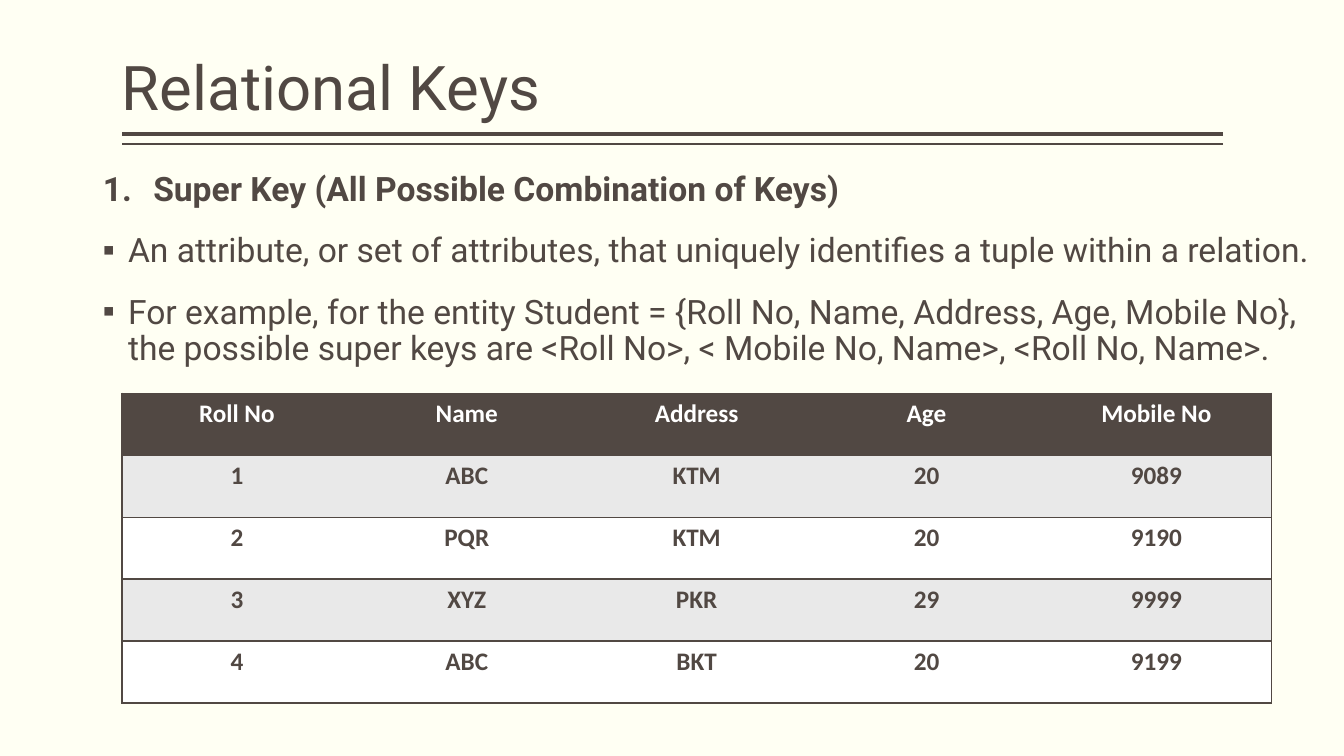
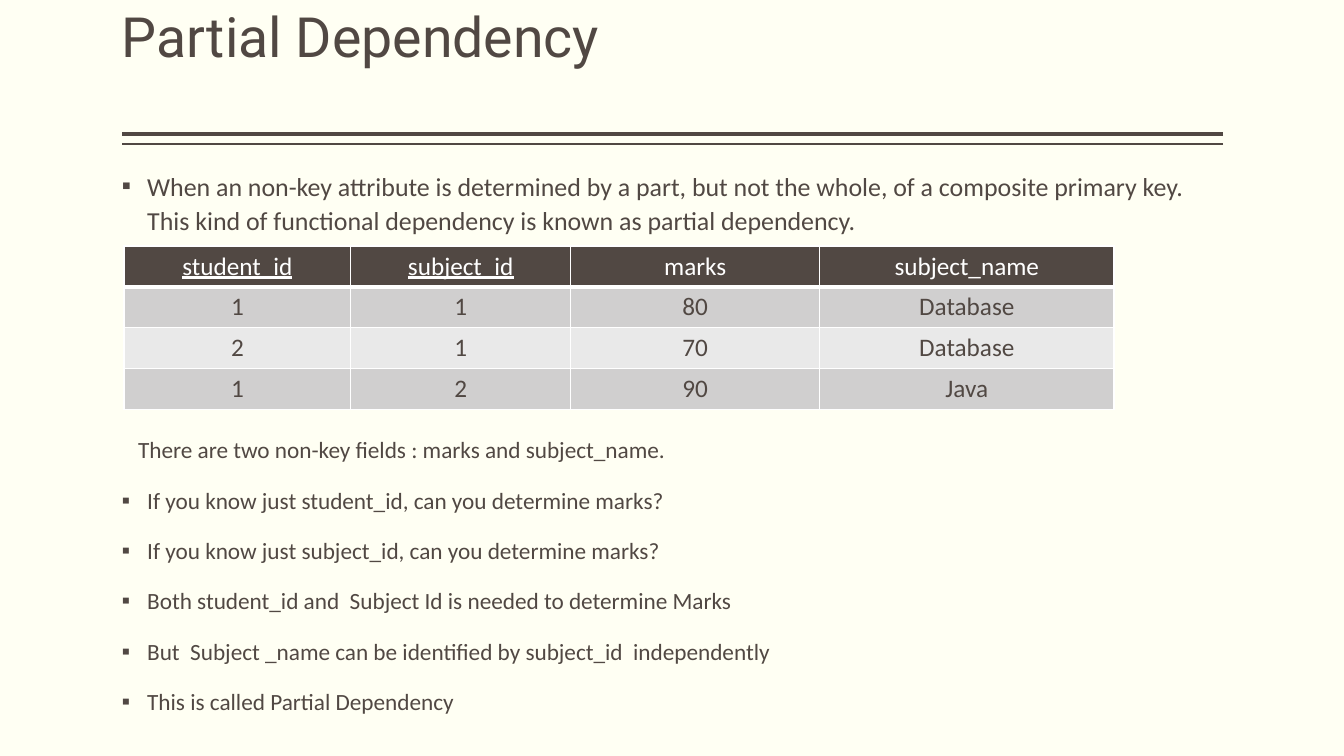
from lxml import etree
from pptx import Presentation
from pptx.dml.color import RGBColor
from pptx.enum import shapes, text
from pptx.oxml import ns
from pptx.util import Inches, Pt

BROWN = RGBColor(0x51, 0x48, 0x43)
CREAM = RGBColor(0xFF, 0xFF, 0xF3)
WHITE = RGBColor(0xFF, 0xFF, 0xFF)
LIGHT_GRAY = RGBColor(0xE9, 0xE9, 0xE9)
MID_GRAY = RGBColor(0xD0, 0xCF, 0xCF)
HEADING_FONT = "Roboto"
TEXT_FONT = "Calibri"
LEFT, CONTENT_WIDTH = 1.21, 10.92
PARAGRAPH_GAP = 18


class Lecture:
    def __init__(self):
        self.deck = Presentation()
        self.deck.slide_width = Inches(13.33)
        self.deck.slide_height = Inches(7.5)
        fill = self.deck.slide_master.background.fill
        fill.solid()
        fill.fore_color.rgb = CREAM
        self.page = None

    def start_page(self, title, top, height, size):
        self.page = self.deck.slides.add_slide(self.deck.slide_layouts[1])
        self.rule(1.33, 3)
        self.rule(1.43, 1)
        box = self.page.shapes.title
        frame = self.prepare(box, LEFT, top, CONTENT_WIDTH, height)
        frame.vertical_anchor = text.MSO_ANCHOR.BOTTOM
        frame.text = title
        paragraph = frame.paragraphs[0]
        paragraph.alignment = text.PP_ALIGN.LEFT
        paragraph.line_spacing = 0.9
        self.style(paragraph, HEADING_FONT, size, BROWN)

    def rule(self, y, weight):
        line = self.page.shapes.add_connector(
            shapes.MSO_CONNECTOR.STRAIGHT,
            Inches(LEFT + CONTENT_WIDTH), Inches(y), Inches(LEFT), Inches(y))
        line.line.color.rgb = BROWN
        line.line.width = Pt(weight)
        etree.SubElement(line.element.spPr, ns.qn("a:effectLst"))

    def prepare(self, box, left, top, width, height):
        box.left, box.top = Inches(left), Inches(top)
        box.width, box.height = Inches(width), Inches(height)
        frame = box.text_frame
        frame.word_wrap = True
        frame.auto_size = text.MSO_AUTO_SIZE.NONE
        frame.margin_left = frame.margin_right = 0
        frame.margin_top = frame.margin_bottom = Inches(0.05)
        return frame

    def style(self, paragraph, font, size, color, bold=False, underline=False):
        for span in paragraph.runs:
            span.font.name = font
            span.font.size = Pt(size)
            span.font.color.rgb = color
            span.font.bold = bold
            span.font.underline = underline

    def start_body(self, left, top, width, height):
        frame = self.prepare(self.page.placeholders[1], left, top, width, height)
        frame.vertical_anchor = text.MSO_ANCHOR.TOP

    def item(self, words, font, size, bullet="▪", indent=0.25, bold=False,
             spacing=0.9, before=PARAGRAPH_GAP):
        frame = self.page.placeholders[1].text_frame
        first = not frame.text
        paragraph = frame.paragraphs[0] if first else frame.add_paragraph()
        paragraph.text = words
        self.bullet(paragraph, bullet, indent)
        paragraph.alignment = text.PP_ALIGN.LEFT
        paragraph.line_spacing = spacing
        paragraph.space_before = Pt(0 if first else before)
        paragraph.space_after = Pt(0)
        self.style(paragraph, font, size, BROWN, bold)

    def bullet(self, paragraph, bullet, indent):
        properties = paragraph._p.get_or_add_pPr()
        properties.set("marL", str(Inches(indent)))
        properties.set("indent", str(-Inches(indent) if bullet else 0))
        if not bullet:
            etree.SubElement(properties, ns.qn("a:buNone"))
        elif bullet == "1.":
            etree.SubElement(properties, ns.qn("a:buFont"), typeface=HEADING_FONT)
            etree.SubElement(properties, ns.qn("a:buAutoNum"), type="arabicPeriod")
        else:
            etree.SubElement(properties, ns.qn("a:buFont"), typeface=TEXT_FONT)
            etree.SubElement(properties, ns.qn("a:buChar"), char=bullet)

    def table(self, rows, left, top, widths, row_height, bands, line_color,
              bold=False, inner_columns=True, header_line=1, underlined=()):
        table = self.page.shapes.add_table(
            len(rows), len(widths), Inches(left), Inches(top),
            Inches(sum(widths)), Inches(row_height * len(rows))).table
        table.horz_banding = False
        for column, width in zip(table.columns, widths):
            column.width = Inches(width)
        last = len(widths) - 1
        for r, values in enumerate(rows):
            table.rows[r].height = Inches(row_height)
            for c, value in enumerate(values):
                cell = table.cell(r, c)
                cell.text = value
                paragraph = cell.text_frame.paragraphs[0]
                paragraph.alignment = text.PP_ALIGN.CENTER
                self.style(paragraph, TEXT_FONT, 18, BROWN if r else WHITE,
                           bold, r == 0 and c in underlined)
                self.borders(cell, line_color, {
                    "L": 1 if inner_columns or c == 0 else 0,
                    "R": 1 if inner_columns or c == last else 0,
                    "T": header_line if r == 1 else 1,
                    "B": header_line if r == 0 else 1})
                cell.fill.solid()
                cell.fill.fore_color.rgb = bands[(r - 1) % len(bands)] if r else BROWN

    def borders(self, cell, color, weights):
        properties = cell._tc.get_or_add_tcPr()
        for side, weight in weights.items():
            line = etree.SubElement(properties, ns.qn(f"a:ln{side}"), w=str(Pt(weight)))
            if weight:
                fill = etree.SubElement(line, ns.qn("a:solidFill"))
                etree.SubElement(fill, ns.qn("a:srgbClr"), val=str(color))
            else:
                etree.SubElement(line, ns.qn("a:noFill"))


def relational_keys(lecture):
    lecture.start_page("Relational Keys", 0.08, 1.2, 44)
    lecture.start_body(1.02, 1.66, 12.32, 5.32)
    lecture.item("Super Key (All Possible Combination of Keys)", HEADING_FONT, 24,
                 bullet="1.", indent=0.5, bold=True)
    for words in (
        "An attribute, or set of attributes, that uniquely identifies a tuple within a relation.",
        "For example, for the entity Student = {Roll No, Name, Address, Age, Mobile No}, "
        "the possible super keys are <Roll No>, < Mobile No, Name>, <Roll No, Name>.",
    ):
        lecture.item(words, HEADING_FONT, 24)
    students = [
        ("Roll No", "Name", "Address", "Age", "Mobile No"),
        ("1", "ABC", "KTM", "20", "9089"),
        ("2", "PQR", "KTM", "20", "9190"),
        ("3", "XYZ", "PKR", "29", "9999"),
        ("4", "ABC", "BKT", "20", "9199"),
    ]
    lecture.table(students, LEFT, 3.9, [2.28] * 5, 0.615, (LIGHT_GRAY, WHITE),
                  BROWN, bold=True, inner_columns=False)


def partial_dependency(lecture):
    lecture.start_page("Partial Dependency", 0, 0.74, 39.6)
    lecture.start_body(LEFT, 1.61, CONTENT_WIDTH, 5.68)
    lecture.item("When an non-key attribute is determined by a part, but not the whole, "
                 "of a composite primary key. This kind of functional dependency is known "
                 "as partial dependency.", TEXT_FONT, 18.5, spacing=1.1)
    lecture.item("There are two non-key fields : marks and subject_name.", TEXT_FONT, 16.6,
                 bullet=None, indent=0.16, before=145)
    for words in (
        "If you know just student_id, can you determine marks?",
        "If you know just subject_id, can you determine marks?",
        "Both student_id and  Subject Id is needed to determine Marks",
        "But  Subject _name can be identified by subject_id  independently",
        "This is called Partial Dependency",
    ):
        lecture.item(words, TEXT_FONT, 16.6)
    scores = [
        ("student_id", "subject_id", "marks", "subject_name"),
        ("1", "1", "80", "Database"),
        ("2", "1", "70", "Database"),
        ("1", "2", "90", "Java"),
    ]
    lecture.table(scores, 1.23, 2.44, [2.25, 2.18, 2.47, 2.92], 0.4,
                  (MID_GRAY, LIGHT_GRAY), WHITE, header_line=3, underlined=(0, 1))


def main():
    lecture = Lecture()
    relational_keys(lecture)
    partial_dependency(lecture)
    lecture.deck.save("out.pptx")


if __name__ == "__main__":
    main()
